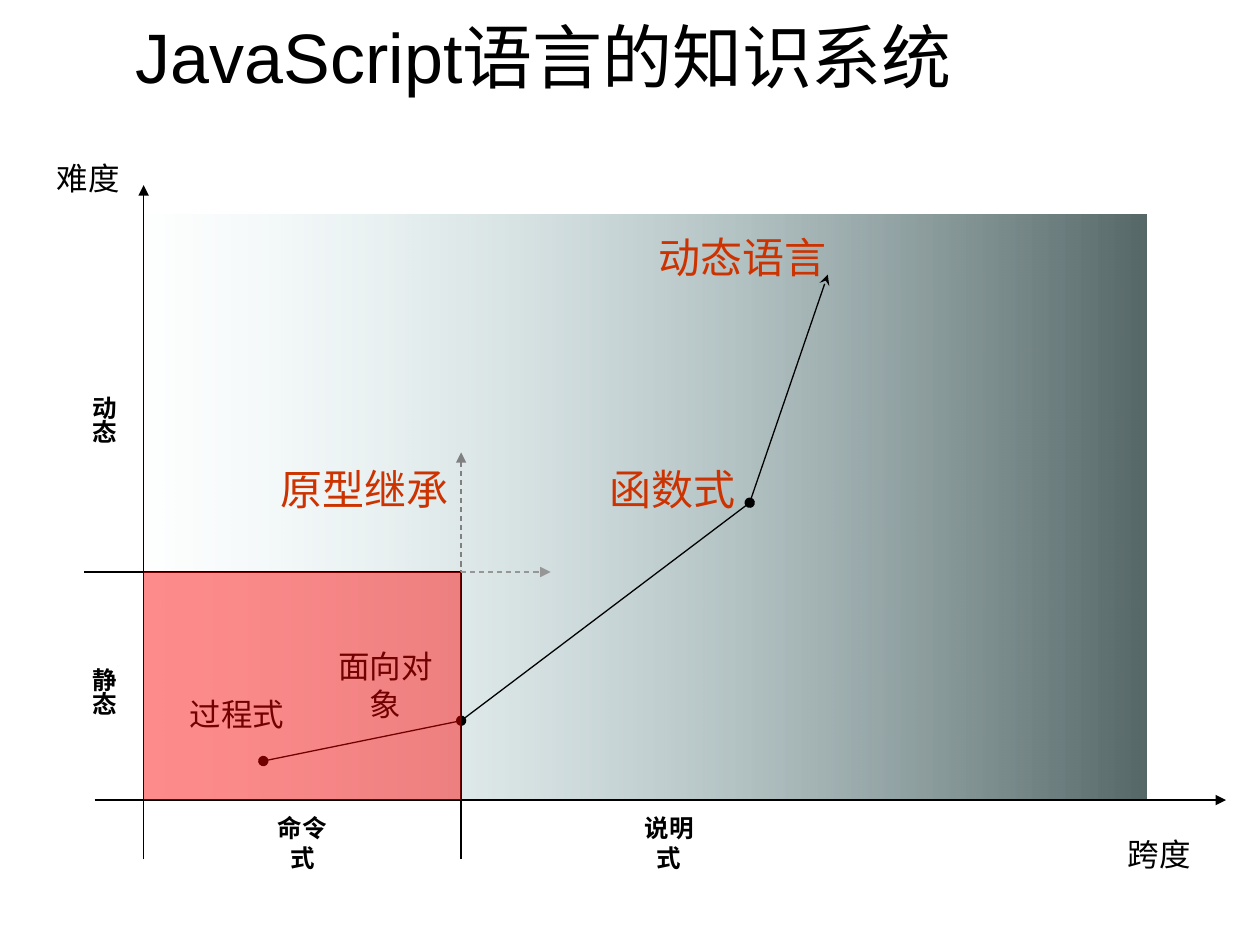
import pptx
import pptx.dml.color
import pptx.enum.dml
import pptx.enum.shapes
import pptx.enum.text
import pptx.oxml
import pptx.oxml.ns
import pptx.util
from pptx.util import Inches

BLACK, ORANGE = "000000", "CC3300"
X_AXIS, Y_AXIS = 6.35, 1.14
X_SPLIT, Y_SPLIT = 3.66, 4.54
AXIS_END = 6.82
OBJECT_POINT, FUNCTIONAL_POINT = (X_SPLIT, 5.72), (5.95, 3.99)
NS = pptx.oxml.ns.nsdecls("a")

prs = pptx.Presentation()
prs.slide_width, prs.slide_height = Inches(10), Inches(7.5)
s = prs.slides.add_slide(prs.slide_layouts[6])


def add_line(start, end, color=BLACK, dash=False, head=None, tail=None):
    """Draw a straight line; head is the arrowhead at start, tail at end."""
    cx = s.shapes.add_connector(pptx.enum.shapes.MSO_CONNECTOR.STRAIGHT,
                                *map(Inches, start + end))
    cx.line.color.rgb = pptx.dml.color.RGBColor.from_string(color)
    cx.line.width = pptx.util.Pt(0.75)
    if dash:
        cx.line.dash_style = pptx.enum.dml.MSO_LINE.DASH
    for tag, kind in (("headEnd", head), ("tailEnd", tail)):
        if kind:
            cx.line._get_or_add_ln().append(
                pptx.oxml.parse_xml(f'<a:{tag} {NS} type="{kind}"/>'))
    cx._element.spPr.append(pptx.oxml.parse_xml(f"<a:effectLst {NS}/>"))


def add_text(text, box, size, color=BLACK, bold=False, vertical=False, title=False):
    tb = s.shapes.add_textbox(*map(Inches, box))
    tf = tb.text_frame
    tf.word_wrap = title
    tf.vertical_anchor = pptx.enum.text.MSO_ANCHOR.MIDDLE
    side, end = (0.05, 0.1) if vertical else (0.1, 0.05)
    tf.margin_left = tf.margin_right = Inches(side)
    tf.margin_top = tf.margin_bottom = Inches(end)
    if vertical:
        tf._txBody.bodyPr.set("vert", "eaVert")
    p = tf.paragraphs[0]
    align = pptx.enum.text.PP_ALIGN
    p.alignment = align.LEFT if title else align.CENTER
    r = p.add_run()
    r.text = text
    r.font.name, r.font.size, r.font.bold = "Arial", pptx.util.Pt(size), bold
    r.font.color.rgb = pptx.dml.color.RGBColor.from_string(color)


# Knowledge area, fading in from left to right
area = s.shapes.add_shape(pptx.enum.shapes.MSO_SHAPE.RECTANGLE, Inches(Y_AXIS),
                          Inches(1.7), Inches(7.96), Inches(X_AXIS - 1.7))
area.shadow.inherit = False
area.line.fill.background()
area.fill.gradient()
area.fill.gradient_angle = 0
for stop, position, color in zip(area.fill.gradient_stops, (0, 1), ("BBE0E3", "576869")):
    stop.position = position
    stop.color.rgb = pptx.dml.color.RGBColor.from_string(color)
first_color = area._element.spPr.find(".//" + pptx.oxml.ns.qn("a:srgbClr"))
first_color.append(pptx.oxml.parse_xml(f'<a:alpha {NS} val="1000"/>'))

# Axes
add_line((0.75, X_AXIS), (9.73, X_AXIS), tail="triangle")
add_line((Y_AXIS, AXIS_END), (Y_AXIS, 1.47), tail="triangle")

# Learning path
add_line((2.09, 6.04), OBJECT_POINT, head="oval")
add_line(OBJECT_POINT, FUNCTIONAL_POINT, head="oval")
add_line(FUNCTIONAL_POINT, (6.57, 2.18), head="oval", tail="stealth")

add_text("JavaScript语言的知识系统", (0.98, 0.14, 8.82, 0.6), 40, title=True)

for text, left, top in (("过程式", 1.38, 5.4), ("面向对象", 2.56, 5.17),
                        ("跨度", 8.7, 6.51), ("难度", 0.2, 1.15)):
    add_text(text, (left, top, 1, 0.53), 18)

for text, left, top, width in (("原型继承", 2.13, 3.63, 1.53),
                               ("函数式", 4.74, 3.63, 1.2),
                               ("动态语言", 5.13, 1.79, 1.53)):
    add_text(text, (left, top, width, 0.5), 24, ORANGE)

for text, top in (("动态", 3.04), ("静态", 5.2)):
    add_text(text, (0.61, top, 0.43, 0.49), 14, bold=True, vertical=True)

for text, left in (("命令式", 2.01), ("说明式", 4.92)):
    add_text(text, (left, 6.52, 0.78, 0.34), 14, bold=True)

# Static, imperative quadrant
add_line((X_SPLIT, Y_SPLIT), (X_SPLIT, AXIS_END))
add_line((0.67, Y_SPLIT), (X_SPLIT, Y_SPLIT))
quadrant = s.shapes.add_shape(pptx.enum.shapes.MSO_SHAPE.RECTANGLE,
                              Inches(Y_AXIS), Inches(Y_SPLIT),
                              Inches(X_SPLIT - Y_AXIS), Inches(X_AXIS - Y_SPLIT))
quadrant.shadow.inherit = False
quadrant.line.fill.background()
quadrant.fill.solid()
quadrant.fill.fore_color.rgb = pptx.dml.color.RGBColor.from_string("FF0000")
red = quadrant._element.spPr.find(".//" + pptx.oxml.ns.qn("a:srgbClr"))
red.append(pptx.oxml.parse_xml(f'<a:alpha {NS} val="45000"/>'))

# Directions of extension
add_line((X_SPLIT, 3.59), (X_SPLIT, Y_SPLIT), "808080", dash=True, head="triangle")
add_line((X_SPLIT, Y_SPLIT), (4.37, Y_SPLIT), "969696", dash=True, tail="triangle")

prs.save("out.pptx")
